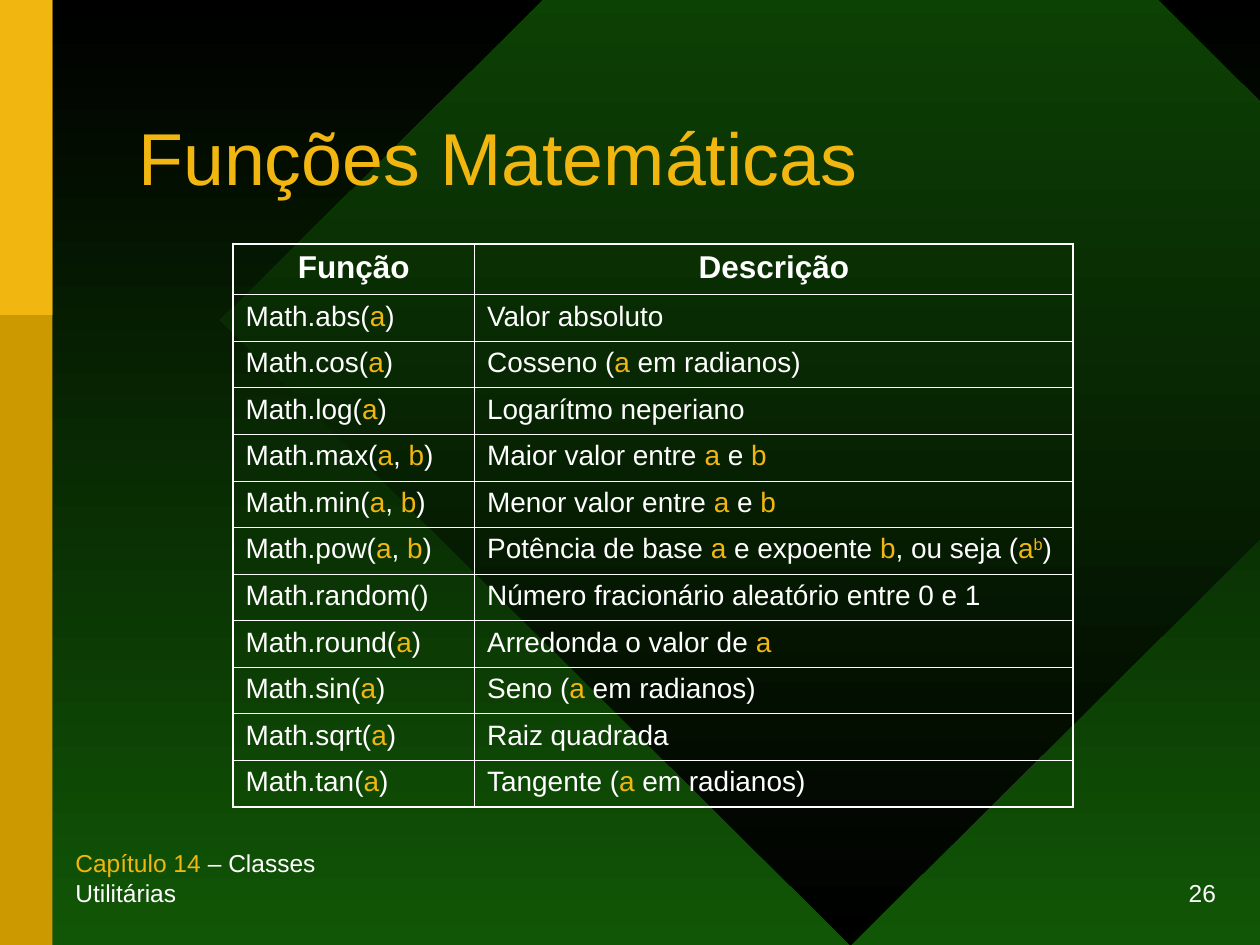
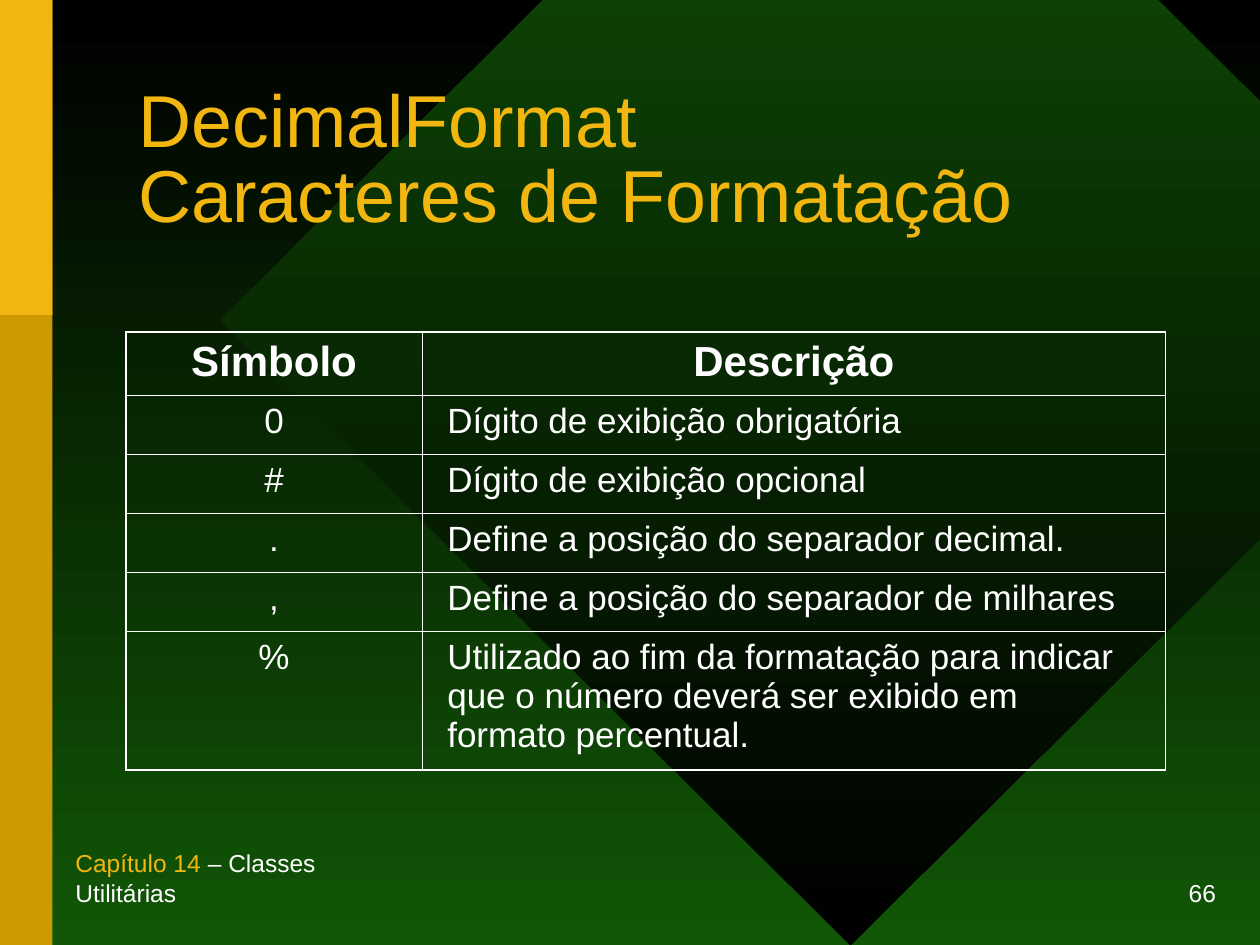
"""Build two slides on Java utility classes, each with a title and a reference table."""
from dataclasses import dataclass

from lxml import etree
from pptx import Presentation
from pptx.dml.color import RGBColor
from pptx.enum import shapes, text
from pptx.oxml import ns
from pptx import util as u

COLUMNS, ROWS = 120, 90
WIDTH, HEIGHT = u.Inches(10), u.Inches(7.5)
FONT = "Arial"
WHITE, GOLD, OCHRE, GREEN, BLACK = "FFFFFF", "F1B60F", "CC9900", "115606", "000000"
LEFT, CENTER, RIGHT = text.PP_ALIGN.LEFT, text.PP_ALIGN.CENTER, text.PP_ALIGN.RIGHT
TOP, MIDDLE, BOTTOM = text.MSO_ANCHOR.TOP, text.MSO_ANCHOR.MIDDLE, text.MSO_ANCHOR.BOTTOM
OUTER, INNER = 1.08, 0.45
FOOTER = "|Capítulo 14| – Classes Utilitárias"


@dataclass
class Area:
    """A rectangle in columns and rows of the slide grid."""
    left: float
    top: float
    width: float
    height: float

    def lengths(self) -> tuple:
        """Return left, top, width and height as slide lengths."""
        return across(self.left), down(self.top), across(self.width), down(self.height)


@dataclass
class Grid:
    """A two-column table; bars in a cell enclose gold words, ^ raises them."""
    left: float
    top: float
    widths: list
    heights: list
    cells: list
    head_size: int
    body_size: int
    inset: float
    first_align: text.PP_ALIGN = LEFT


@dataclass
class Lesson:
    """The content of one slide."""
    number: int
    title: str
    grid: Grid


TITLE_AREA = Area(12, 8, 99, 15)
FOOTER_AREA = Area(6, 84, 30, 3)
NUMBER_AREA = Area(87, 84, 30, 3)
DIAMOND_AREA = Area(21, -29, 120, 119)
BAND_AREA = Area(0, 0, 5, ROWS)
BAND_TOP_AREA = Area(0, 0, 5, ROWS / 3)

MATH = [
    ("Função", "Descrição"),
    ("Math.abs(|a|)", "Valor absoluto"),
    ("Math.cos(|a|)", "Cosseno (|a| em radianos)"),
    ("Math.log(|a|)", "Logarítmo neperiano"),
    ("Math.max(|a|, |b|)", "Maior valor entre |a| e |b|"),
    ("Math.min(|a|, |b|)", "Menor valor entre |a| e |b|"),
    ("Math.pow(|a|, |b|)", "Potência de base |a| e expoente |b|, ou seja (|a||^b|)"),
    ("Math.random()", "Número fracionário aleatório entre 0 e 1"),
    ("Math.round(|a|)", "Arredonda o valor de |a|"),
    ("Math.sin(|a|)", "Seno (|a| em radianos)"),
    ("Math.sqrt(|a|)", "Raiz quadrada"),
    ("Math.tan(|a|)", "Tangente (|a| em radianos)"),
]
SYMBOLS = [
    ("Símbolo", "Descrição"),
    ("0", "Dígito de exibição obrigatória"),
    ("#", "Dígito de exibição opcional"),
    (".", "Define a posição do separador decimal."),
    (",", "Define a posição do separador de milhares"),
    ("%", "Utilizado ao fim da formatação para indicar que o número "
          "deverá ser exibido em formato percentual."),
]
LESSONS = [
    Lesson(26, "|Funções Matemáticas|",
           Grid(22.2, 23.25, [23, 57], [4.75] + [4.44] * 11, MATH, 18, 16, 0.1)),
    Lesson(66, "|DecimalFormat\nCaracteres de Formatação|",
           Grid(12, 31.6, [28.2, 70.8], [6.05] + [5.62] * 4 + [13.2], SYMBOLS,
                24, 20, 0.2, CENTER)),
]


def across(columns: float) -> int:
    """Convert grid columns to a length."""
    return round(WIDTH * columns / COLUMNS)


def down(rows: float) -> int:
    """Convert grid rows to a length."""
    return round(HEIGHT * rows / ROWS)


def color(value: str) -> RGBColor:
    """Turn a hex string into a colour."""
    return RGBColor.from_string(value)


def paint(fill, *values: str) -> None:
    """Fill with one colour, or with a gradient from top to bottom."""
    if len(values) == 1:
        fill.solid()
        fill.fore_color.rgb = color(values[0])
        return
    fill.gradient()
    fill.gradient_angle = 270
    for position, (stop, value) in enumerate(zip(fill.gradient_stops, values)):
        stop.position = position
        stop.color.rgb = color(value)


def write(para, words: str, *, size: int, align=LEFT, bold: bool = False,
          spacing: float = 1.0) -> None:
    """Write marked-up words into a paragraph."""
    para.alignment = align
    para.line_spacing = spacing
    for place, part in enumerate(words.split("|")):
        for order, line in enumerate(part.lstrip("^").split("\n")):
            if order:
                para.add_line_break()
            if not line:
                continue
            span = para.add_run()
            span.text = line
            span.font.name = FONT
            span.font.size = u.Pt(size)
            span.font.bold = bold
            span.font.color.rgb = color(GOLD if place % 2 else WHITE)
            if part.startswith("^"):
                span.font._element.set("baseline", "30000")


def add_text(page, area: Area, words: str, *, anchor=BOTTOM, wrap: bool = False,
             **style) -> None:
    """Add a text box with one paragraph."""
    frame = page.shapes.add_textbox(*area.lengths()).text_frame
    frame.word_wrap = wrap
    frame.vertical_anchor = anchor
    write(frame.paragraphs[0], words, **style)


def add_block(page, kind, area: Area, *values: str) -> None:
    """Add a filled shape without outline or shadow."""
    block = page.shapes.add_shape(kind, *area.lengths())
    block.shadow.inherit = False
    block.line.fill.background()
    paint(block.fill, *values)


def set_borders(cell, widths: dict) -> None:
    """Draw the four white borders of a cell."""
    properties = cell._tc.get_or_add_tcPr()
    for place, (side, width) in enumerate(widths.items()):
        line = etree.Element(ns.qn(f"a:ln{side}"), w=str(u.Pt(width)))
        fill = etree.SubElement(line, ns.qn("a:solidFill"))
        etree.SubElement(fill, ns.qn("a:srgbClr"), val=WHITE)
        properties.insert(place, line)


def add_grid(page, grid: Grid) -> None:
    """Add a table with clear cells and a heavier outer border."""
    last_row, last_column = len(grid.heights) - 1, len(grid.widths) - 1
    area = Area(grid.left, grid.top, sum(grid.widths), sum(grid.heights))
    table = page.shapes.add_table(last_row + 1, last_column + 1, *area.lengths()).table
    table.first_row = table.horz_banding = False
    for column, width in zip(table.columns, grid.widths):
        column.width = across(width)
    for row, height in zip(table.rows, grid.heights):
        row.height = down(height)
    for y, entries in enumerate(grid.cells):
        for x, words in enumerate(entries):
            cell = table.cell(y, x)
            cell.fill.background()
            cell.vertical_anchor = TOP
            cell.margin_left = cell.margin_right = u.Inches(grid.inset)
            head = y == 0
            align = CENTER if head else LEFT if x else grid.first_align
            write(cell.text_frame.paragraphs[0], words, align=align, bold=head,
                  size=grid.head_size if head else grid.body_size)
            edges = {"L": x == 0, "R": x == last_column, "T": head, "B": y == last_row}
            set_borders(cell, {side: OUTER if edge else INNER
                               for side, edge in edges.items()})


def add_lesson(deck, lesson: Lesson) -> None:
    """Add a slide with the shared backdrop, footer, title and its table."""
    page = deck.slides.add_slide(deck.slide_layouts[6])
    paint(page.background.fill, BLACK, GREEN)
    add_block(page, shapes.MSO_SHAPE.DIAMOND, DIAMOND_AREA, GREEN, BLACK)
    add_block(page, shapes.MSO_SHAPE.RECTANGLE, BAND_AREA, OCHRE)
    add_block(page, shapes.MSO_SHAPE.RECTANGLE, BAND_TOP_AREA, GOLD)
    add_text(page, NUMBER_AREA, str(lesson.number), size=14, align=RIGHT)
    add_text(page, FOOTER_AREA, FOOTER, size=14)
    add_text(page, TITLE_AREA, lesson.title, size=42, anchor=MIDDLE, wrap=True, spacing=0.85)
    add_grid(page, lesson.grid)


def main() -> None:
    """Build and save the deck."""
    deck = Presentation()
    deck.slide_width, deck.slide_height = WIDTH, HEIGHT
    for lesson in LESSONS:
        add_lesson(deck, lesson)
    deck.save("out.pptx")


main()
